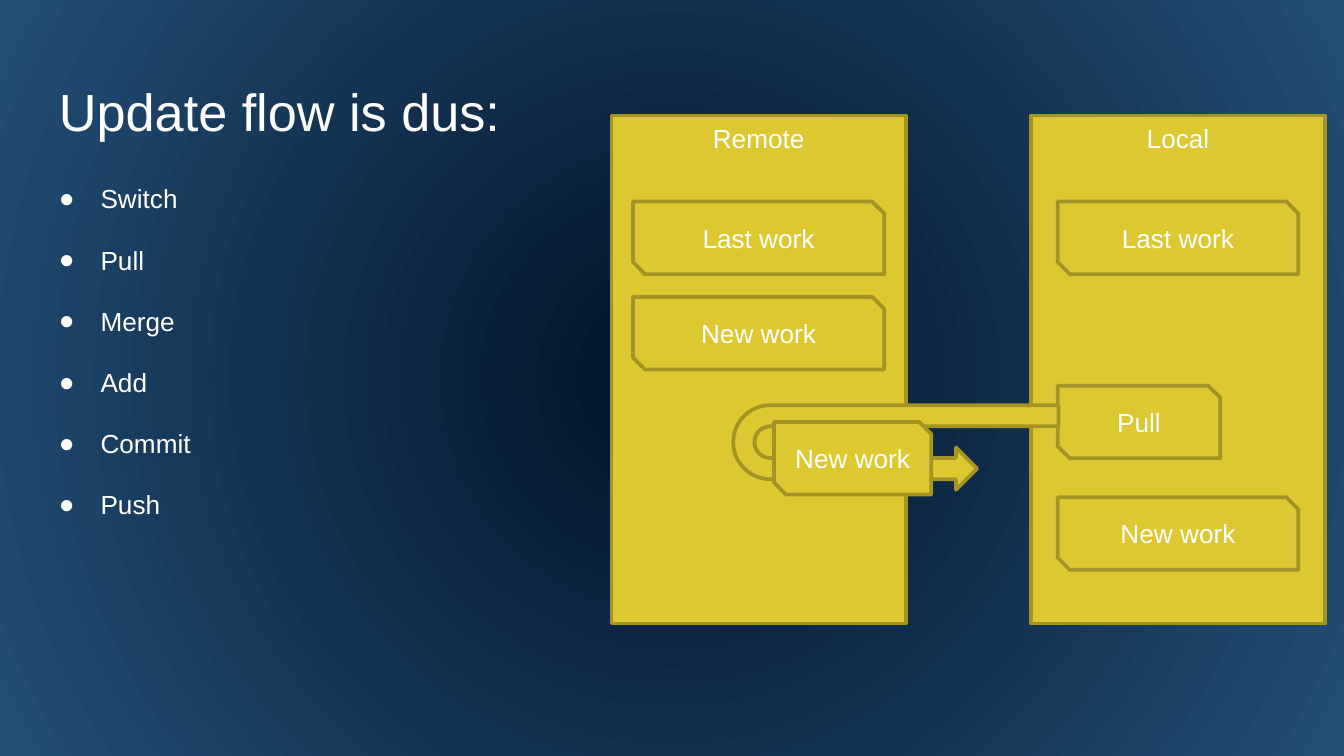
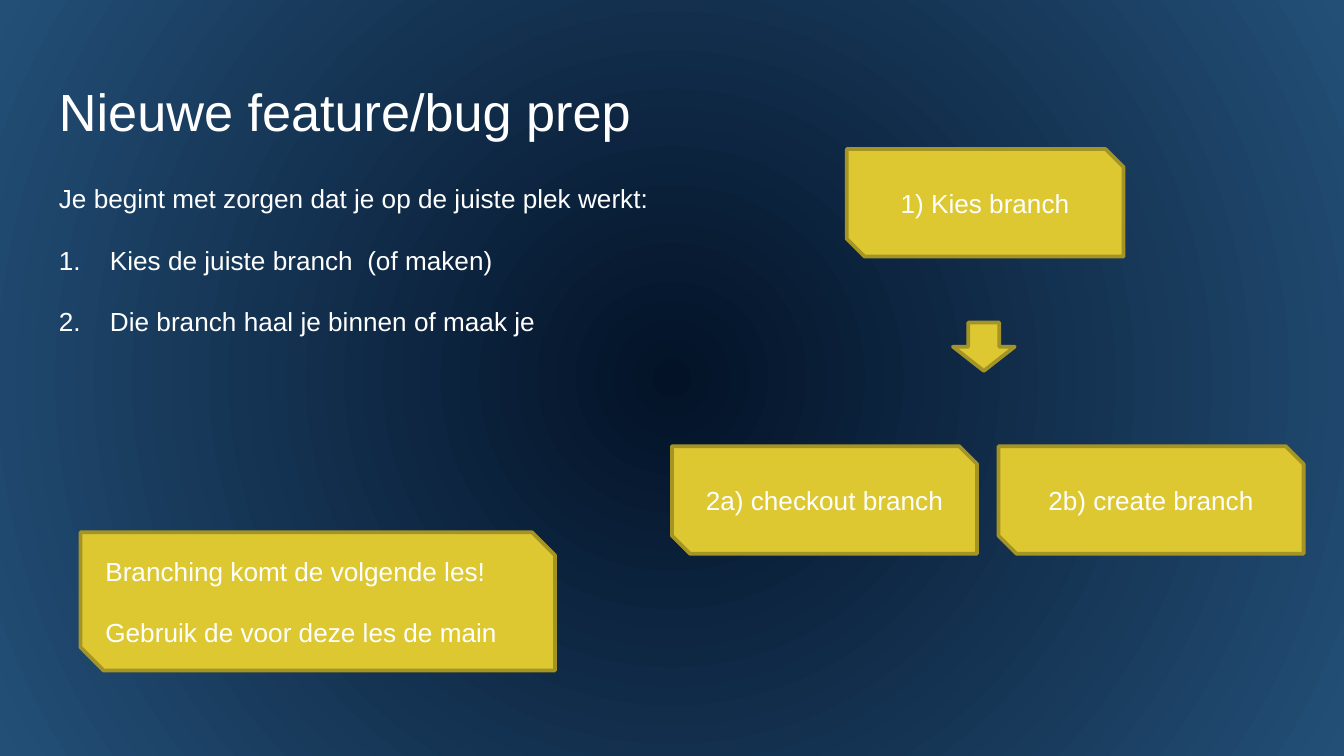
from dataclasses import dataclass
from enum import Enum

from lxml.etree import SubElement
from pptx import Presentation
from pptx.dml.color import RGBColor
from pptx.enum.shapes import MSO_SHAPE
from pptx.enum.text import MSO_ANCHOR, PP_ALIGN
from pptx.oxml.ns import qn
from pptx.slide import Slide
from pptx.text.text import TextFrame, _Paragraph
from pptx.util import Inches, Pt

WHITE = RGBColor(0xFF, 0xFF, 0xFF)
YELLOW = RGBColor(0xDD, 0xC8, 0x32)
OLIVE = RGBColor(0xA3, 0x94, 0x25)
NIGHT = RGBColor(0x03, 0x12, 0x27)
SEA = RGBColor(0x23, 0x4F, 0x77)

FONT = "Arial"
TITLE_SIZE, TEXT_SIZE = 28, 14
PARAGRAPH_GAP = 16

# Every length is counted in square grid cells, a hundred of them across.
COLUMNS, ROWS = 100, 56.25
CELL = Inches(10) // COLUMNS


@dataclass(frozen=True)
class Box:
    left: float
    top: float
    width: float
    height: float

    def emu(self) -> list[int]:
        return [round(n * CELL) for n in (self.left, self.top, self.width, self.height)]


@dataclass(frozen=True)
class Block:
    """A yellow shape, with its paragraphs of text if it has any."""
    box: Box
    lines: tuple[str, ...] = ()
    shape: MSO_SHAPE = MSO_SHAPE.SNIP_2_DIAG_RECTANGLE
    anchor: MSO_ANCHOR = MSO_ANCHOR.MIDDLE
    align: PP_ALIGN = PP_ALIGN.CENTER
    gap: int = 0
    rotation: int = 0
    mirrored: bool = False


class Marker(Enum):
    """Tag, attribute and value of a list marker, and its indent in cells."""
    DOT = ("a:buChar", "char", "●", 3.1)
    NUMBER = ("a:buAutoNum", "type", "arabicPeriod", 3.8)


TITLE = Box(3.4, 4.9, 93.2, 6.3)


def paint_background(slide: Slide) -> None:
    fill = slide.background.fill
    fill.gradient()
    for stop, color in zip(fill.gradient_stops, (NIGHT, SEA)):
        stop.color.rgb = color
    gradient = slide.element.find(f".//{qn('a:gradFill')}")
    gradient.remove(gradient.find(qn("a:lin")))
    circle = SubElement(gradient, qn("a:path"), path="circle")
    SubElement(circle, qn("a:fillToRect"), l="50000", t="50000", r="50000", b="50000")


def write(frame: TextFrame, lines: tuple[str, ...], size: int,
          align: PP_ALIGN = PP_ALIGN.LEFT, gap: int = 0) -> None:
    frame.word_wrap = True
    frame.text = "\n".join(lines)
    for paragraph in frame.paragraphs:
        paragraph.alignment = align
        paragraph.space_after = Pt(gap)
        for run in paragraph.runs:
            run.font.name = FONT
            run.font.size = Pt(size)
            run.font.color.rgb = WHITE


def mark(paragraph: _Paragraph, marker: Marker) -> None:
    tag, attribute, value, columns = marker.value
    indent = round(columns * CELL)
    properties = paragraph._p.get_or_add_pPr()
    properties.set("marL", str(indent))
    properties.set("indent", str(-indent))
    color = SubElement(properties, qn("a:buClr"))
    SubElement(color, qn("a:srgbClr"), val=str(WHITE))
    SubElement(properties, qn("a:buFont"), typeface=FONT)
    SubElement(properties, qn(tag)).set(attribute, value)


def add_text(slide: Slide, box: Box, lines: tuple[str, ...], size: int, gap: int = 0) -> TextFrame:
    frame = slide.shapes.add_textbox(*box.emu()).text_frame
    frame.margin_left = frame.margin_right = CELL
    frame.margin_top = frame.margin_bottom = CELL
    write(frame, lines, size, gap=gap)
    return frame


def add_block(slide: Slide, block: Block) -> None:
    shape = slide.shapes.add_shape(block.shape, *block.box.emu())
    shape.shadow.inherit = False
    shape.fill.solid()
    shape.fill.fore_color.rgb = YELLOW
    shape.line.color.rgb = OLIVE
    shape.line.width = Pt(2)
    shape.rotation = block.rotation
    if block.mirrored:
        shape.element.spPr.find(qn("a:xfrm")).set("flipH", "1")
    if block.lines:
        shape.text_frame.vertical_anchor = block.anchor
        write(shape.text_frame, block.lines, TEXT_SIZE, block.align, block.gap)


def add_slide(deck: Presentation, title: str, body: Box, intro: tuple[str, ...],
              items: tuple[str, ...], marker: Marker, blocks: list[Block]) -> None:
    slide = deck.slides.add_slide(deck.slide_layouts[6])
    paint_background(slide)
    # Blocks lie beside the text, so their order against it does not matter.
    add_text(slide, TITLE, (title,), TITLE_SIZE)
    frame = add_text(slide, body, intro + items, TEXT_SIZE, PARAGRAPH_GAP)
    for paragraph in frame.paragraphs[len(intro):]:
        mark(paragraph, marker)
    for block in blocks:
        add_block(slide, block)


def update_flow_blocks() -> list[Block]:
    remote_left, local_left = 47.1, 78.7
    remote_width, local_width, height = 18.7, 17.9, 5.4

    def repository(name: str, left: float) -> Block:
        return Block(Box(left, 8.6, 21.9, 37.8), (name,), MSO_SHAPE.RECTANGLE, MSO_ANCHOR.TOP)

    def work(name: str, left: float, top: float, width: float) -> Block:
        return Block(Box(left, top, width, height), (name,))

    return [
        repository("Local", 76.7),
        repository("Remote", 45.5),
        work("Pull", local_left, 28.7, 12.1),
        work("New work", remote_left, 22.1, remote_width),
        work("Last work", local_left, 15, local_width),
        work("Last work", remote_left, 15, remote_width),
        Block(Box(63.5, 21.2, 6.3, 24.2), shape=MSO_SHAPE.U_TURN_ARROW,
              rotation=270, mirrored=True),
        work("New work", 57.6, 31.4, 11.7),
        work("New work", local_left, 37, local_width),
    ]


def branch_blocks() -> list[Block]:
    option_left, option_width, option_step = 50, 22.7, 24.3
    options = ("2a) checkout branch", "2b) create branch")
    return [
        Block(Box(63, 11.1, 20.6, 8), ("1) Kies branch",)),
        Block(Box(71.4, 23.5, 3.6, 4.6), shape=MSO_SHAPE.RIGHT_ARROW, rotation=90),
        Block(Box(6, 39.6, 35.3, 10.3),
              ("Branching komt de volgende les!", "Gebruik de voor deze les de main"),
              align=PP_ALIGN.LEFT, gap=PARAGRAPH_GAP),
        *(Block(Box(option_left + i * option_step, 33.2, option_width, 8), (option,))
          for i, option in enumerate(options)),
    ]


def main() -> None:
    deck = Presentation()
    deck.slide_width = COLUMNS * CELL
    deck.slide_height = round(ROWS * CELL)
    add_slide(deck, "Update flow is dus:", Box(3.4, 12.6, 41.7, 42.9), (),
              ("Switch", "Pull", "Merge", "Add", "Commit", "Push"),
              Marker.DOT, update_flow_blocks())
    add_slide(deck, "Nieuwe feature/bug prep", Box(3.4, 12.6, 48.7, 37.4),
              ("Je begint met zorgen dat je op de juiste plek werkt:",),
              ("Kies de juiste branch  (of maken)", "Die branch haal je binnen of maak je"),
              Marker.NUMBER, branch_blocks())
    deck.save("out.pptx")


if __name__ == "__main__":
    main()
